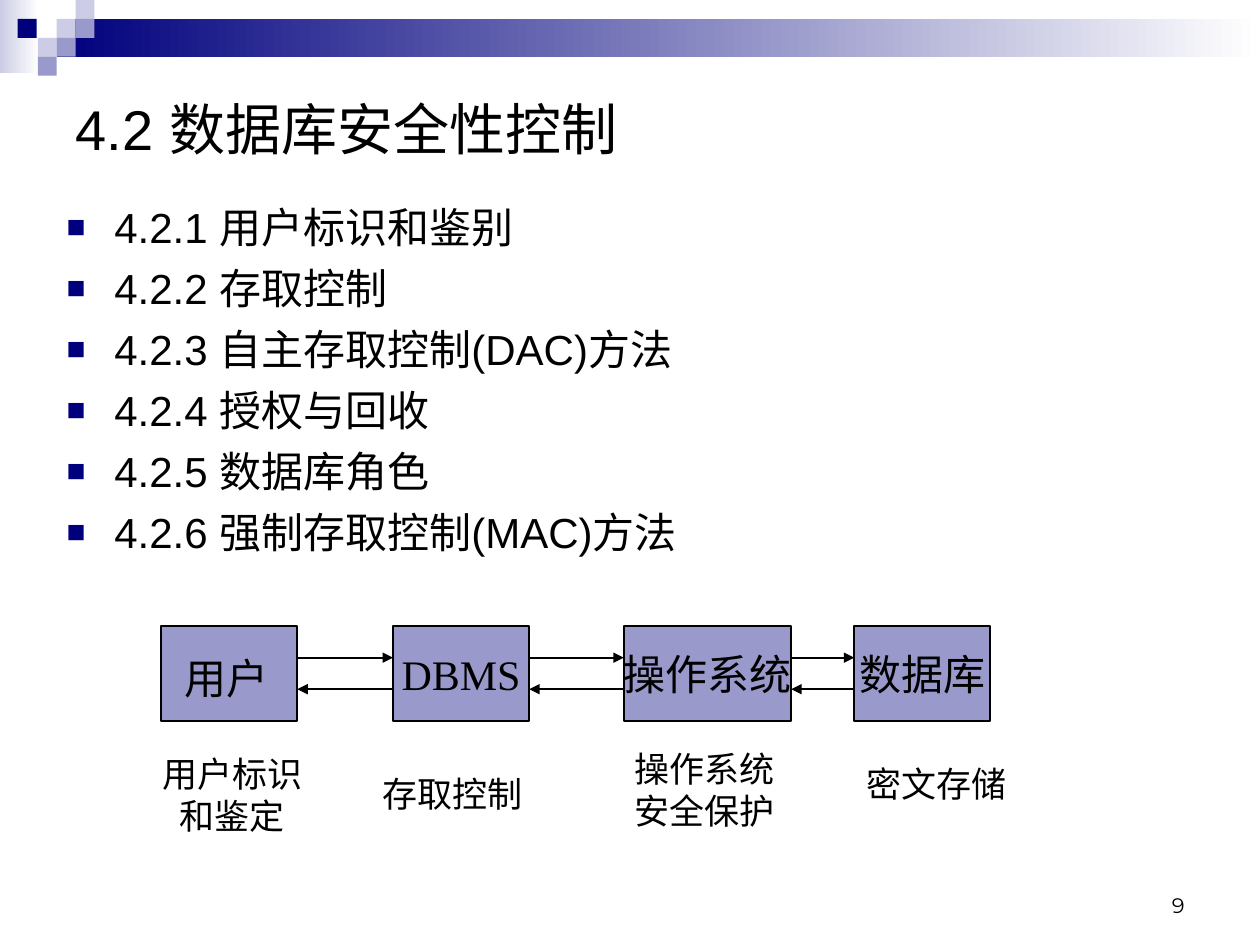
import pptx
import pptx.util
import pptx.dml.color
import pptx.enum.text
import pptx.enum.shapes
import pptx.oxml.ns
from lxml import etree

Inches, Pt = pptx.util.Inches, pptx.util.Pt
RGB = pptx.dml.color.RGBColor
Align, Anchor = pptx.enum.text.PP_ALIGN, pptx.enum.text.MSO_ANCHOR
RECT = pptx.enum.shapes.MSO_SHAPE.RECTANGLE
qn = pptx.oxml.ns.qn

BLACK, WHITE = RGB(0, 0, 0), RGB(255, 255, 255)
NAVY, LILAC, PALE = RGB(0, 0, 0x7D), RGB(0x99, 0x99, 0xCC), RGB(0xCC, 0xCC, 0xE6)


def add_rect(x, y, w, h, fill, end=None):
    box = slide.shapes.add_shape(RECT, *map(Inches, (x, y, w, h)))
    box.shadow.inherit = False
    box.line.fill.background()
    if end is None:
        box.fill.solid()
        box.fill.fore_color.rgb = fill
    else:
        box.fill.gradient()
        box.fill.gradient_angle = 0
        for stop, tone in zip(box.fill.gradient_stops, (fill, end)):
            stop.color.rgb = tone
    return box


def put_text(shape, lines, size, name, align, anchor, wrap=False):
    frame = shape.text_frame
    frame.text = "\n".join(lines)
    for key, val in {"word_wrap": wrap, "vertical_anchor": anchor}.items():
        setattr(frame, key, val)
    for para in frame.paragraphs:
        para.alignment = align
        for key, val in {"size": Pt(size), "name": name, "bold": False}.items():
            setattr(para.font, key, val)
        para.font.color.rgb = BLACK
    return frame


deck = pptx.Presentation()
deck.slide_width, deck.slide_height = Inches(10), Inches(7.5)
slide = deck.slides.add_slide(deck.slide_layouts[5])

# Banner and its mosaic of squares
add_rect(0, 0, 0.31, 0.58, PALE, WHITE)
add_rect(0.45, 0.15, 9.55, 0.3, NAVY, WHITE)
for x, y, fill in [(0.45, 0.15, PALE), (0.6, 0, PALE), (0.6, 0.15, LILAC),
                   (0.3, 0.3, PALE), (0.14, 0.15, NAVY), (0.45, 0.3, LILAC),
                   (0.3, 0.45, LILAC)]:
    add_rect(x, y, 0.15, 0.15, fill)

# Title
title = slide.shapes.title
spot = {"left": 0.5, "top": 0.62, "width": 9, "height": 0.79}
for key, val in spot.items():
    setattr(title, key, Inches(val))
put_text(title, ["4.2 数据库安全性控制"], 32, "Arial", Align.LEFT, Anchor.MIDDLE, True)

# Section list
items = ["用户标识和鉴别", "存取控制", "自主存取控制(DAC)方法",
         "授权与回收", "数据库角色", "强制存取控制(MAC)方法"]
body = slide.shapes.add_textbox(*map(Inches, (0.43, 1.55, 9, 2.99)))
lines = [f"4.2.{num} {item}" for num, item in enumerate(items, 1)]
frame = put_text(body, lines, 24, "Arial", Align.LEFT, Anchor.TOP, True)
for para in frame.paragraphs:
    para.space_before = Pt(6)
    props = para._p.get_or_add_pPr()
    props.set("marL", str(Inches(0.38)))
    props.set("indent", str(-Inches(0.38)))
    tint = etree.Element(qn("a:buClr"))
    etree.SubElement(tint, qn("a:srgbClr"), val=str(NAVY))
    scale = etree.Element(qn("a:buSzPct"), val="75000")
    face = etree.Element(qn("a:buFont"), typeface="Arial")
    mark = etree.Element(qn("a:buChar"), char="■")
    spot = props.index(props.find(qn("a:spcBef"))) + 1
    for step, node in enumerate((tint, scale, face, mark)):
        props.insert(spot + step, node)

# Boxes of the access chain
chain = [(1.28, 1.08, ""), (3.12, 1.08, "DBMS"),
         (4.95, 1.33, "操作系统"), (6.78, 1.08, "数据库")]
for x, w, label in chain:
    box = add_rect(x, 4.97, w, 0.75, LILAC)
    box.line.color.rgb = BLACK
    box.line.width = Pt(1)
    if label:
        put_text(box, [label], 24, "Times New Roman", Align.CENTER, Anchor.MIDDLE)

# Arrows there and back between neighbours
for (x, w, _), (far, _, _) in zip(chain, chain[1:]):
    for start, end, y in [(x + w, far, 5.22), (far, x + w, 5.47)]:
        arrow = slide.shapes.add_connector(
            pptx.enum.shapes.MSO_CONNECTOR.STRAIGHT,
            *map(Inches, (start, y, end, y)))
        arrow.line.color.rgb = BLACK
        arrow.line.width = Pt(1)
        etree.SubElement(arrow.line._get_or_add_ln(), qn("a:tailEnd"), type="triangle")
        etree.SubElement(arrow._element.spPr, qn("a:effectLst"))

# User label and captions below the boxes
for x, y, w, h, size, lines in [
        (1.3, 5.13, 1, 0.5, 24, ["用户"]),
        (1.19, 5.92, 1.31, 0.77, 20, ["用户标识", "和鉴定"]),
        (2.94, 6.08, 1.31, 0.44, 20, ["存取控制"]),
        (4.94, 5.88, 1.31, 0.77, 20, ["操作系统", "安全保护"]),
        (6.78, 6, 1.31, 0.44, 20, ["密文存储"])]:
    note = slide.shapes.add_textbox(*map(Inches, (x, y, w, h)))
    put_text(note, lines, size, "Times New Roman", Align.CENTER, Anchor.MIDDLE)

# Page number
page = slide.shapes.add_textbox(*map(Inches, (7.17, 6.83, 2.33, 0.5)))
put_text(page, ["9"], 12, "Montserrat", Align.RIGHT, Anchor.BOTTOM, True)

deck.save("out.pptx")
